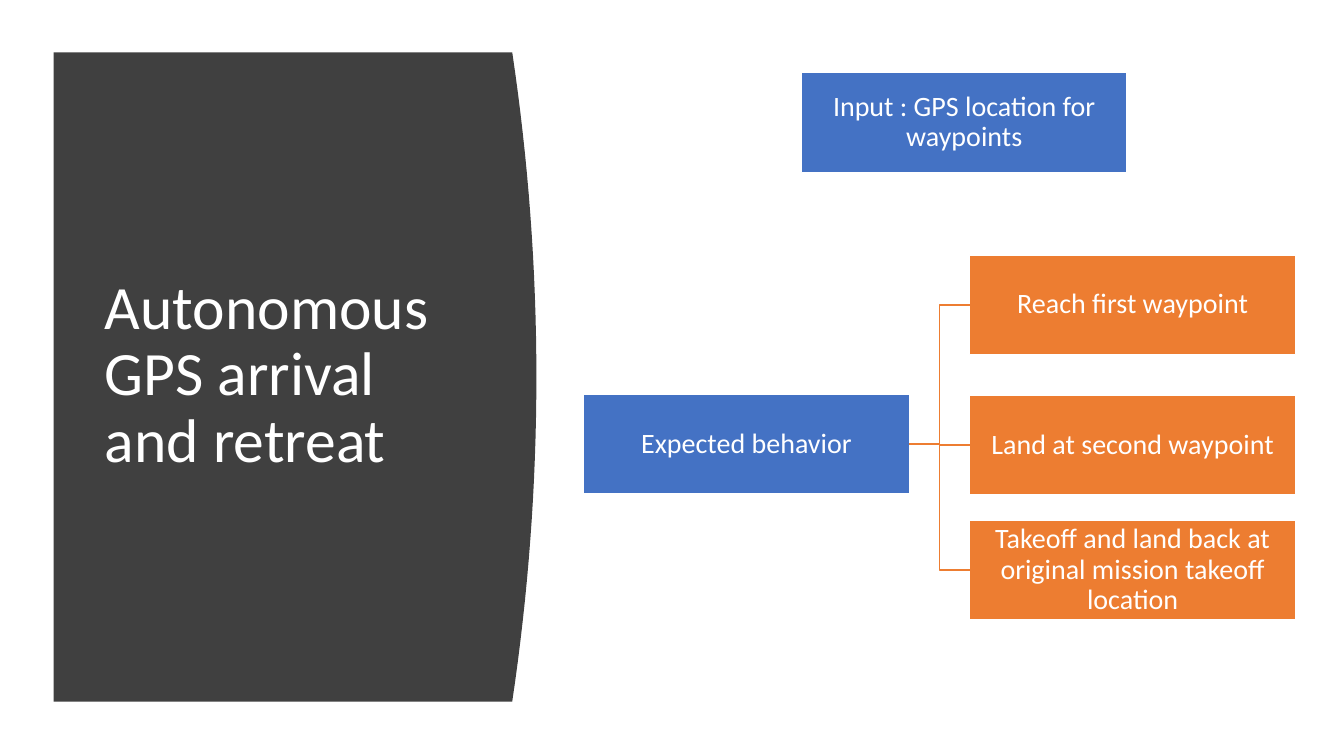
import dataclasses

import pptx
import pptx.dml.color
import pptx.enum.shapes
import pptx.enum.text
import pptx.oxml
import pptx.oxml.ns
import pptx.util

ALIGN = pptx.enum.text.PP_ALIGN
TOP, LEFT, BOTTOM, RIGHT = range(4)


@dataclasses.dataclass(frozen=True)
class Theme:
    font: str = "Calibri"
    title_size: int = 44
    node_size: int = 20
    line_width: int = 1
    line_spacing: float = 0.9
    panel: str = "404040"
    text: str = "FFFFFF"
    parent: str = "4472C4"
    child: str = "ED7D31"


@dataclasses.dataclass(frozen=True)
class Box:
    left: int
    top: int
    width: int
    height: int

    def inner(self, left, top, width, height):
        """Return an inner box given in percent of this one."""
        return Box(round(self.left + self.width * left / 100),
                   round(self.top + self.height * top / 100),
                   round(self.width * width / 100),
                   round(self.height * height / 100))


THEME = Theme()
NODE_SIZE = (45.75, 18.23)
CHILD_LEFT = 100 - NODE_SIZE[0]


def rgb(value):
    return pptx.dml.color.RGBColor.from_string(value)


def write_text(sp, text, size, align):
    tf = sp.text_frame
    tf.text = text
    tf.word_wrap = True
    tf.auto_size = pptx.enum.text.MSO_AUTO_SIZE.NONE
    tf.vertical_anchor = pptx.enum.text.MSO_ANCHOR.MIDDLE
    p = tf.paragraphs[0]
    p.alignment = align
    p.line_spacing = THEME.line_spacing
    font = p.runs[0].font
    font.name = THEME.font
    font.size = pptx.util.Pt(size)
    font.color.rgb = rgb(THEME.text)


def add_panel(s, box, steps=32):
    """Draw the dark panel whose right side bulges as a parabola."""
    straight = 0.95
    edge = []
    for i in range(steps + 1):
        y = i / steps
        x = straight + (1 - straight) * (1 - (2 * y - 1) ** 2)
        edge.append((box.left + box.width * x, box.top + box.height * y))
    builder = s.shapes.build_freeform(box.left, box.top)
    builder.add_line_segments(edge + [(box.left, box.top + box.height)])
    sp = builder.convert_to_shape()
    sp.shadow.inherit = False
    sp.fill.solid()
    sp.fill.fore_color.rgb = rgb(THEME.panel)
    sp.line.fill.background()
    return sp


def add_title_region(s, box, text):
    panel = add_panel(s, box)
    title = s.shapes.title
    panel._element.addnext(title._element)
    area = box.inner(8.56, 9.16, 78.08, 81.37)
    title.left, title.top = area.left, area.top
    title.width, title.height = area.width, area.height
    write_text(title, text, THEME.title_size, ALIGN.LEFT)


def add_node(s, box, text, color):
    sp = s.shapes.add_shape(pptx.enum.shapes.MSO_SHAPE.RECTANGLE,
                            box.left, box.top, box.width, box.height)
    sp.shadow.inherit = False
    sp.fill.solid()
    sp.fill.fore_color.rgb = rgb(color)
    sp.line.color.rgb = rgb(THEME.text)
    sp.line.width = pptx.util.Pt(THEME.line_width)
    tf = sp.text_frame
    tf.margin_left = tf.margin_right = pptx.util.Inches(0.01)
    tf.margin_top = tf.margin_bottom = pptx.util.Inches(0.01)
    write_text(sp, text, THEME.node_size, ALIGN.CENTER)
    return sp


def join_nodes(s, parent, child):
    line = s.shapes.add_connector(pptx.enum.shapes.MSO_CONNECTOR.ELBOW, 0, 0, 0, 0)
    line.begin_connect(parent, RIGHT)
    line.end_connect(child, LEFT)
    line.line.color.rgb = rgb(THEME.child)
    line.line.width = pptx.util.Pt(THEME.line_width)
    line._element.spPr.append(
        pptx.oxml.parse_xml(f"<a:effectLst {pptx.oxml.ns.nsdecls('a')}/>"))


def add_hierarchy(s, box):
    add_node(s, box.inner(30.59, 0, *NODE_SIZE),
             "Input : GPS location for waypoints", THEME.parent)
    parent = add_node(s, box.inner(0, 58.75, *NODE_SIZE),
                      "Expected behavior", THEME.parent)
    children = (
        (33.33, "Reach first waypoint"),
        (58.93, "Land at second waypoint"),
        (81.77, "Takeoff and land back at original mission takeoff location"),
    )
    for top, text in children:
        child = add_node(s, box.inner(CHILD_LEFT, top, *NODE_SIZE), text, THEME.child)
        join_nodes(s, parent, child)


def main():
    prs = pptx.Presentation()
    prs.slide_width = pptx.util.Inches(13.33)
    prs.slide_height = pptx.util.Inches(7.5)
    s = prs.slides.add_slide(prs.slide_layouts.get_by_name("Title Only"))
    page = Box(0, 0, prs.slide_width, prs.slide_height)
    add_title_region(s, page.inner(3.98, 6.93, 35.93, 85.87),
                     "Autonomous GPS arrival and retreat")
    add_hierarchy(s, page.inner(43.43, 9.6, 52.96, 72.4))
    prs.save("out.pptx")


if __name__ == "__main__":
    main()
